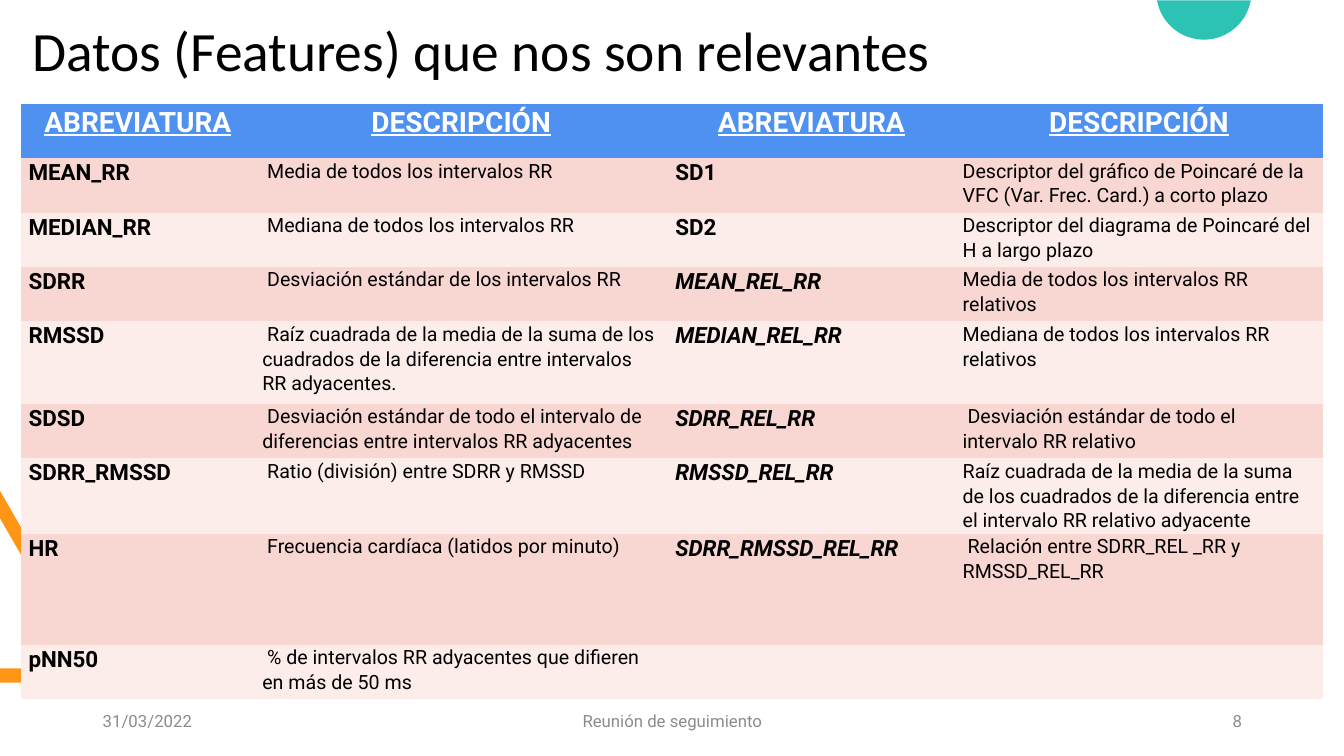
"""Build the slide that lists the relevant heart-rate features."""
import math

from pptx import Presentation
from pptx.dml.color import RGBColor
from pptx.enum import text as t
from pptx.util import Cm, Pt

COLORS = {
    "black": "000000", "white": "FFFFFF", "gray": "8C8C8C",
    "orange": "FF9514", "teal": "2CC3B4",
    "header": "4E91F0", "odd": "F8D6D2", "even": "FCECEA",
}
NO_STYLE = "{2D5ABB26-0587-4C30-8999-92F81FD0307C}"
COLUMN_WIDTHS = (5.89, 10.41, 7.24, 9.27)
ROW_HEIGHTS = (1.37, 1.37, 1.37, 1.37, 2.08, 1.37, 1.37, 2.79, 1.37)
HEADINGS = ("ABREVIATURA", "DESCRIPCIÓN") * 2
FEATURES = (
    ("MEAN_RR", " Media de todos los intervalos RR",
     "SD1", "Descriptor del gráfico de Poincaré de la VFC (Var. Frec. Card.) a corto plazo"),
    ("MEDIAN_RR", " Mediana de todos los intervalos RR",
     "SD2", "Descriptor del diagrama de Poincaré del H a largo plazo"),
    ("SDRR", " Desviación estándar de los intervalos RR",
     "MEAN_REL_RR", "Media de todos los intervalos RR relativos"),
    ("RMSSD", " Raíz cuadrada de la media de la suma de los cuadrados de la diferencia "
     "entre intervalos RR adyacentes.",
     "MEDIAN_REL_RR", "Mediana de todos los intervalos RR relativos"),
    ("SDSD", " Desviación estándar de todo el intervalo de diferencias entre intervalos "
     "RR adyacentes",
     "SDRR_REL_RR", " Desviación estándar de todo el intervalo RR relativo"),
    ("SDRR_RMSSD", " Ratio (división) entre SDRR y RMSSD",
     "RMSSD_REL_RR", "Raíz cuadrada de la media de la suma de los cuadrados de la "
     "diferencia entre el intervalo RR relativo adyacente"),
    ("HR", " Frecuencia cardíaca (latidos por minuto)",
     "SDRR_RMSSD_REL_RR", " Relación entre SDRR_REL _RR y RMSSD_REL_RR"),
    ("pNN50", " % de intervalos RR adyacentes que difieren en más de 50 ms", "", ""),
)


def color(name):
    return RGBColor.from_string(COLORS[name])


def write(frame, words, size=14, font="Roboto", ink="black", bold=False, italic=False,
          underline=False, align=t.PP_ALIGN.LEFT, spacing=1.0, after=0):
    paragraph = frame.paragraphs[0]
    paragraph.alignment = align
    paragraph.line_spacing = spacing
    paragraph.space_after = Pt(after)
    run = paragraph.add_run()
    run.text = words
    run.font.size = Pt(size)
    run.font.name = font
    run.font.bold = bold
    run.font.italic = italic
    run.font.underline = underline
    run.font.color.rgb = color(ink)


def add_label(slide, words, left, top, width, height, **style):
    frame = slide.shapes.add_textbox(Cm(left), Cm(top), Cm(width), Cm(height)).text_frame
    frame.word_wrap = True
    frame.vertical_anchor = t.MSO_ANCHOR.MIDDLE
    write(frame, words, **style)


def add_outline(slide, points, fill):
    corners = [(Cm(x), Cm(y)) for x, y in points]
    builder = slide.shapes.build_freeform(*corners[0])
    builder.add_line_segments(corners[1:], close=True)
    shape = builder.convert_to_shape()
    shape.shadow.inherit = False
    shape.fill.solid()
    shape.fill.fore_color.rgb = color(fill)
    shape.line.fill.background()


def fill_cell(cell, words, fill, **style):
    cell.margin_left = cell.margin_right = Cm(0.19)
    cell.margin_top = cell.margin_bottom = 0
    cell.fill.solid()
    cell.fill.fore_color.rgb = color(fill)
    if words:
        write(cell.text_frame, words, spacing=1.07, after=8, **style)


def add_feature_table(slide):
    table = slide.shapes.add_table(
        len(ROW_HEIGHTS), len(COLUMN_WIDTHS), Cm(0.53), Cm(2.62),
        Cm(sum(COLUMN_WIDTHS)), Cm(sum(ROW_HEIGHTS))).table
    next(table._tbl.iter("{*}tableStyleId")).text = NO_STYLE
    table.horz_banding = False
    for column, width in zip(table.columns, COLUMN_WIDTHS):
        column.width = Cm(width)
    for row, height in zip(table.rows, ROW_HEIGHTS):
        row.height = Cm(height)
    for j, heading in enumerate(HEADINGS):
        fill_cell(table.cell(0, j), heading, "header", size=20, ink="white", bold=True,
                  underline=True, align=t.PP_ALIGN.CENTER)
    for i, feature in enumerate(FEATURES, 1):
        for j, words in enumerate(feature):
            is_name = j % 2 == 0
            fill_cell(table.cell(i, j), words, "odd" if i % 2 else "even",
                      size=16 if is_name else 14, bold=is_name,
                      italic=is_name and "_REL_" in words)


def main():
    presentation = Presentation()
    presentation.slide_width, presentation.slide_height = Cm(33.87), Cm(19.05)
    slide = presentation.slides.add_slide(presentation.slide_layouts[6])
    add_outline(slide, [(0, 17.2), (0, 16.84), (2.18, 16.84), (0, 13.06), (0, 12.37),
                        (2.64, 16.94), (2.67, 17.02), (2.62, 17.15), (2.49, 17.2)], "orange")
    angles = [math.radians(degrees) for degrees in range(10, 171, 4)]
    add_outline(slide, [(30.34 + 1.2 * math.cos(a), 1.2 * math.sin(a) - 0.2)
                        for a in angles], "teal")
    add_label(slide, "Datos (Features) que nos son relevantes", 0.56, 0.38, 29.21, 1.93,
              size=39.6, font="Calibri", spacing=0.9)
    footers = (("31/03/2022", 2.34, 7.62, t.PP_ALIGN.LEFT),
               ("Reunión de seguimiento", 11.23, 11.43, t.PP_ALIGN.CENTER),
               ("8", 23.93, 7.62, t.PP_ALIGN.RIGHT))
    for words, left, width, align in footers:
        add_label(slide, words, left, 17.65, width, 1.02, size=12, ink="gray", align=align)
    add_feature_table(slide)
    presentation.save("out.pptx")


if __name__ == "__main__":
    main()
